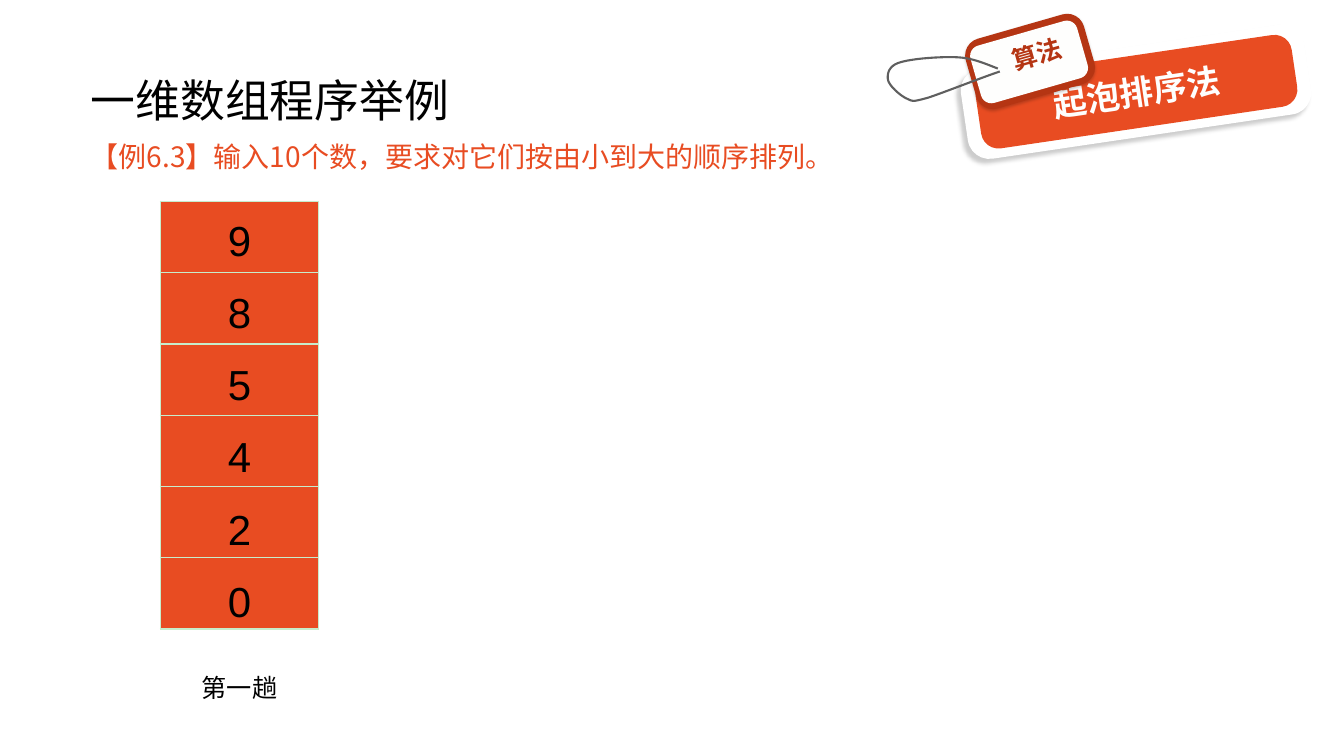
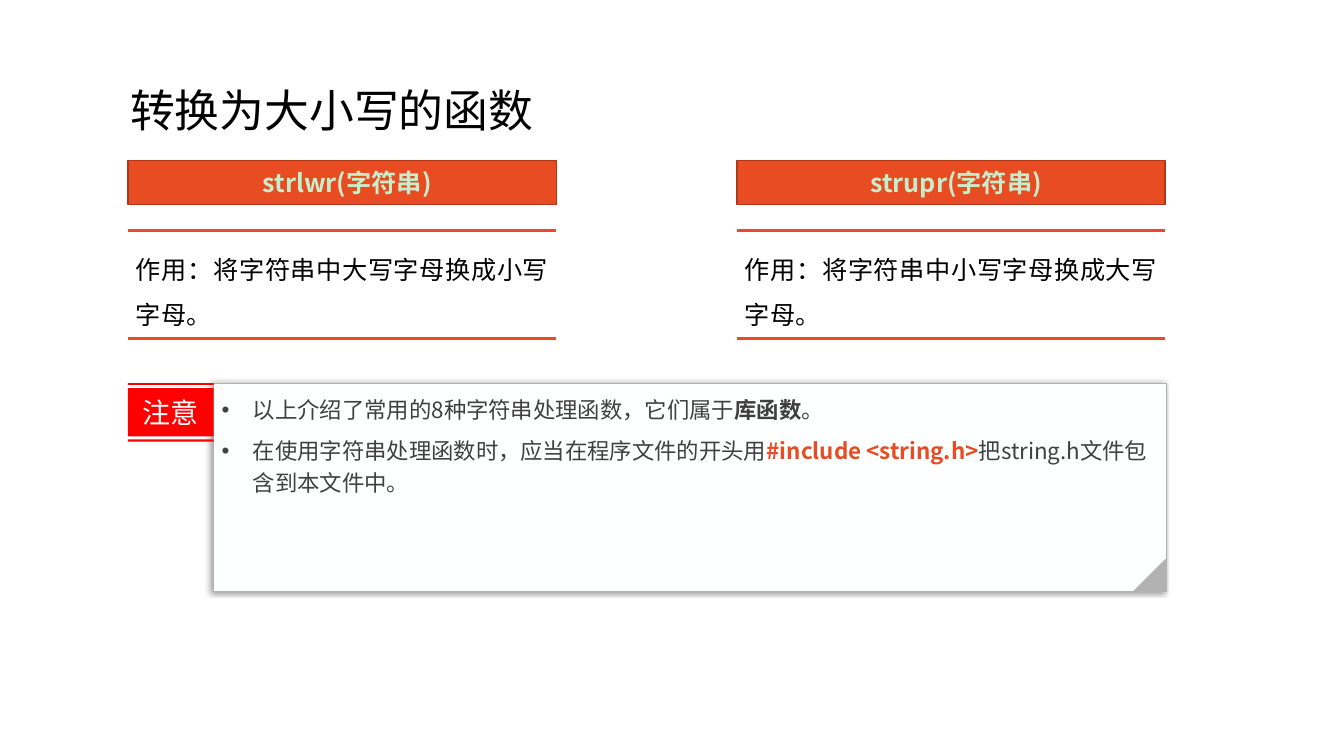
"""Build two programming lesson slides: bubble sort and string case functions."""
from dataclasses import dataclass
from typing import NamedTuple, Optional

from lxml import etree
from pptx import Presentation
from pptx.dml.color import RGBColor
from pptx.enum.shapes import MSO_SHAPE
from pptx.enum.text import MSO_ANCHOR, MSO_AUTO_SIZE, PP_ALIGN
from pptx.oxml.ns import qn
from pptx.util import Pt

RECTANGLE, ROUNDED, ELLIPSE, CORNER = (
    MSO_SHAPE.RECTANGLE, MSO_SHAPE.ROUNDED_RECTANGLE, MSO_SHAPE.OVAL, MSO_SHAPE.RIGHT_TRIANGLE)
TOP, MIDDLE = MSO_ANCHOR.TOP, MSO_ANCHOR.MIDDLE
LEFT, CENTER, JUSTIFY = PP_ALIGN.LEFT, PP_ALIGN.CENTER, PP_ALIGN.JUSTIFY
FIXED_SIZE, GROW = MSO_AUTO_SIZE.NONE, MSO_AUTO_SIZE.SHAPE_TO_FIT_TEXT

CHINESE_FONT, NUMBER_FONT = "Noto Sans CJK SC", "Arial"
COLORS = {
    "background": "FFFFFF", "white": "FFFFFF", "black": "000000", "orange": "E84C22",
    "rust": "B53513", "brown": "AC3819", "mint": "C7EDCC", "cream": "FEFEFD",
    "paper": "FEFFFF", "red": "FF0000", "charcoal": "404040", "string": "5F5F5F",
    "gray": "B2B2B2",
}


class Box(NamedTuple):
    """Position and size in points."""
    left: float
    top: float
    width: float
    height: float


class Margins(NamedTuple):
    """Text insets in points."""
    left: float = 7.2
    top: float = 3.6
    right: float = 7.2
    bottom: float = 3.6


class Shadow(NamedTuple):
    """Outer shadow: opacity in percent, lengths in points, angle in degrees."""
    opacity: int
    blur: float
    distance: float
    angle: int


class Run(NamedTuple):
    """Piece of a paragraph with its own weight and colour."""
    text: str
    bold: bool = False
    color: Optional[str] = None


@dataclass(frozen=True)
class TextStyle:
    """Look of the paragraphs in one shape."""
    size: float
    color: str = "black"
    font: str = CHINESE_FONT
    bold: bool = False
    align: object = LEFT
    anchor: object = TOP
    margins: Margins = Margins()
    line_spacing: float = 1
    before: float = 0
    after: float = 0
    indent: float = 0
    hanging: float = 0
    bullet: Optional[str] = None
    auto_size: object = FIXED_SIZE


@dataclass(frozen=True)
class Panel:
    """Preset shape with its fill, outline and text."""
    kind: object
    box: Box
    fill: str
    rotation: float = 0
    corner: Optional[float] = None
    line: Optional[str] = None
    line_width: float = 1
    shadow: Optional[Shadow] = None
    text: str = ""
    style: Optional[TextStyle] = None


@dataclass(frozen=True)
class StringFunction:
    """Card that introduces one string function."""
    left: float
    name: str
    purpose: str


TITLE = TextStyle(32, anchor=MIDDLE, line_spacing=0.9)
EXERCISE = TextStyle(20, "orange", line_spacing=1.2, before=10, indent=7.2, hanging=-7.2)
NUMBER = TextStyle(30, font=NUMBER_FONT, align=CENTER, auto_size=GROW)
PASS_LABEL = TextStyle(18, font=NUMBER_FONT, align=CENTER, auto_size=GROW)
TAG_TOPIC = TextStyle(24, "cream", bold=True, align=CENTER, anchor=MIDDLE, margins=Margins(0, 0, 0, 0))
TAG_KIND = TextStyle(18, "rust", bold=True, align=CENTER, anchor=MIDDLE,
                     margins=Margins(14.4, 0, 0, 8.6))
CARD_HEADER = TextStyle(18, "mint", bold=True, align=CENTER, anchor=MIDDLE,
                        margins=Margins(14.4, 3.6, 7.2, 3.6))
EVEN_MARGINS = Margins(5.76, 5.76, 5.76, 5.76)
CARD_PURPOSE = TextStyle(18, align=JUSTIFY, margins=EVEN_MARGINS, line_spacing=1.5, before=6, after=6)
NOTE_TAG = TextStyle(20, "paper", align=CENTER, anchor=MIDDLE)
NOTE = TextStyle(16, "charcoal", margins=EVEN_MARGINS, line_spacing=1.2, after=6,
                 indent=22.3, hanging=-22.3, bullet="•")

TAG_PANELS = [
    Panel(ROUNDED, Box(687.6, 33.1, 247.7, 64.8), "white", 351.6, 0.24, shadow=Shadow(20, 3, 4, 135)),
    Panel(ROUNDED, Box(697.7, 39.6, 228.2, 51.8), "orange", 351.6, 0.24,
          text="起泡排序法", style=TAG_TOPIC),
    Panel(ROUNDED, Box(691.9, 18, 87.8, 51.8), "rust", 344, 0.24, shadow=Shadow(20, 2, 1, 100)),
    Panel(ROUNDED, Box(695.5, 23, 79.2, 42.5), "cream", 344, 0.18, text="算法", style=TAG_KIND),
    Panel(ELLIPSE, Box(702, 44.6, 13, 13), "white"),
]
STRING_START = (712.8, 49)
STRING_CURVES = [
    ((704.9, 46.1), (696.2, 41.8), (684.7, 41)),
    ((673.2, 40.3), (651.6, 41.8), (643, 44.6)),
    ((635, 46.8), (633.6, 52.6), (634.3, 56.9)),
    ((635, 61.2), (643, 68.4), (648, 70.6)),
    ((652.3, 72.7), (652.3, 72.7), (663.1, 69.8)),
    ((673.9, 66.2), (695.5, 57.6), (714.2, 51.1)),
]
FUNCTIONS = [
    StringFunction(91.4, "strlwr(字符串)", "作用：将字符串中大写字母换成小写字母。"),
    StringFunction(526.3, "strupr(字符串)", "作用：将字符串中小写字母换成大写字母。"),
]
CARD_WIDTH = 306
NOTE_LEFT, NOTE_TOP = 152.6, 273.6
NOTE_BARS = [(313.9, 315.4), (277.2, 311.8), (273.6, 275)]
NOTE_LINES = [
    [Run("以上介绍了常用的8种字符串处理函数，它们属于"), Run("库函数", True), Run("。")],
    [Run("在使用字符串处理函数时，应当在程序文件的开头用"),
     Run("#include <string.h>", True, "orange"), Run("把string.h文件包含到本文件中。")],
]


def rgb(name: str) -> RGBColor:
    """Return a named colour."""
    return RGBColor.from_string(COLORS[name])


def add_color(parent, name: str):
    """Append a colour element and return it."""
    return etree.SubElement(parent, qn("a:srgbClr"), val=COLORS[name])


def place(shape, box: Box) -> None:
    """Move and size a shape."""
    shape.left, shape.top, shape.width, shape.height = map(Pt, box)


def write_text(shape, lines: list[list[Run]], style: TextStyle) -> None:
    """Fill a shape with formatted paragraphs."""
    frame = shape.text_frame
    frame.word_wrap = True
    frame.auto_size = style.auto_size
    frame.vertical_anchor = style.anchor
    frame.margin_left, frame.margin_top, frame.margin_right, frame.margin_bottom = map(Pt, style.margins)
    for index, line in enumerate(lines):
        paragraph = frame.add_paragraph() if index else frame.paragraphs[0]
        paragraph.alignment = style.align
        paragraph.line_spacing = style.line_spacing
        paragraph.space_before, paragraph.space_after = Pt(style.before), Pt(style.after)
        font = paragraph.font
        font.name, font.size, font.bold = style.font, Pt(style.size), style.bold
        font.color.rgb = rgb(style.color)
        for part in line:
            run = paragraph.add_run()
            run.text = part.text
            if part.bold:
                run.font.bold = True
            if part.color:
                run.font.color.rgb = rgb(part.color)
    for properties in shape.element.iter(qn("a:pPr")):
        properties.set("marL", str(Pt(style.indent)))
        properties.set("indent", str(Pt(style.hanging)))
        bullet = etree.Element(qn("a:buChar"), char=style.bullet) if style.bullet else etree.Element(qn("a:buNone"))
        properties.find(qn("a:defRPr")).addprevious(bullet)
    for latin in list(shape.element.iter(qn("a:latin"))):
        latin.addnext(etree.Element(qn("a:ea"), typeface=CHINESE_FONT))


def paint(shape, fill: Optional[str], line: Optional[str] = None, width: float = 1,
          shadow: Optional[Shadow] = None) -> None:
    """Set fill, outline and shadow."""
    if fill:
        shape.fill.solid()
        shape.fill.fore_color.rgb = rgb(fill)
    else:
        shape.fill.background()
    if line:
        shape.line.color.rgb = rgb(line)
        shape.line.width = Pt(width)
    else:
        shape.line.fill.background()
    shape.shadow.inherit = False
    if shadow:
        effects = shape.element.spPr.find(qn("a:effectLst"))
        outer = etree.SubElement(effects, qn("a:outerShdw"), blurRad=str(Pt(shadow.blur)),
                                 dist=str(Pt(shadow.distance)), dir=str(shadow.angle * 60000),
                                 algn="ctr", rotWithShape="0")
        etree.SubElement(add_color(outer, "black"), qn("a:alpha"), val=str(shadow.opacity * 1000))


def add_panel(slide, panel: Panel) -> None:
    """Draw a preset shape."""
    shape = slide.shapes.add_shape(panel.kind, *map(Pt, panel.box))
    shape.rotation = panel.rotation
    if panel.corner is not None:
        shape.adjustments[0] = panel.corner
    paint(shape, panel.fill, panel.line, panel.line_width, panel.shadow)
    if panel.style:
        write_text(shape, [[Run(panel.text)]], panel.style)


def add_outline(slide, contours: list[list[tuple[float, float]]], closed: bool):
    """Build a freeform from contours given in points."""
    contours = [[(Pt(x), Pt(y)) for x, y in contour] for contour in contours]
    builder = slide.shapes.build_freeform(*contours[0][0])
    for index, contour in enumerate(contours):
        if index:
            builder.move_to(*contour[0])
        builder.add_line_segments(contour[1:], close=closed)
    return builder.convert_to_shape()


def add_label(slide, box: Box, text: str, style: TextStyle) -> None:
    """Add a text box."""
    write_text(slide.shapes.add_textbox(*map(Pt, box)), [[Run(text)]], style)


def add_slide(presentation, title: str, title_box: Box, body_box: Box, lines: list[list[Run]],
              body_style: TextStyle):
    """Add a slide with its title and body placeholders filled."""
    slide = presentation.slides.add_slide(presentation.slide_layouts[1])
    slide.background.fill.solid()
    slide.background.fill.fore_color.rgb = rgb("background")
    place(slide.shapes.title, title_box)
    write_text(slide.shapes.title, [[Run(title)]], TITLE)
    body = slide.placeholders[1]
    place(body, body_box)
    write_text(body, lines, body_style)
    return slide


def add_number_column(slide, numbers: str) -> None:
    """Draw the array as a one-column table with a number over each cell."""
    table = slide.shapes.add_table(len(numbers), 1, Pt(114.5), Pt(144), Pt(113), Pt(305.4)).table
    table.first_row = table.horz_banding = False
    for index, number in enumerate(numbers):
        table.rows[index].height = Pt(50.9)
        cell = table.cell(index, 0)
        properties = cell._tc.get_or_add_tcPr()
        for side in ("lnL", "lnR", "lnT", "lnB"):
            border = etree.SubElement(properties, qn(f"a:{side}"), w=str(Pt(1)))
            add_color(etree.SubElement(border, qn("a:solidFill")), "mint")
        cell.fill.solid()
        cell.fill.fore_color.rgb = rgb("orange")
        add_label(slide, Box(149.8, 149.8 + 51.5 * index, 42.5, 43.9), number, NUMBER)


def add_tag(slide) -> None:
    """Draw the hanging topic tag with its string."""
    for panel in TAG_PANELS:
        add_panel(slide, panel)
    points = [STRING_START]
    for first, second, end in STRING_CURVES:
        start = points[-1]
        for step in range(1, 13):
            t = step / 12
            weights = ((1 - t) ** 3, 3 * t * (1 - t) ** 2, 3 * t * t * (1 - t), t ** 3)
            points.append(tuple(sum(weight * point[axis] for weight, point in
                                    zip(weights, (start, first, second, end))) for axis in (0, 1)))
    paint(add_outline(slide, [points], False), None, "string", 1.5)


def add_function_card(slide, function: StringFunction) -> None:
    """Draw a header and the purpose between two rules."""
    left, right = function.left, function.left + CARD_WIDTH
    add_panel(slide, Panel(RECTANGLE, Box(left, 114.5, CARD_WIDTH, 31.7), "orange", line="brown",
                           text=function.name, style=CARD_HEADER))
    rules = add_outline(slide, [[(left, y), (right, y)] for y in (241.9, 164.9)], False)
    paint(rules, None, "orange", 2)
    write_text(rules, [[Run(function.purpose)]], CARD_PURPOSE)


def main() -> None:
    """Build and save the presentation."""
    presentation = Presentation()
    presentation.slide_width, presentation.slide_height = Pt(960), Pt(540)

    sorting = add_slide(presentation, "一维数组程序举例", Box(57.6, 21.6, 828, 104.4),
                        Box(57.6, 91.4, 828, 47.5),
                        [[Run("【例6.3】输入10个数，要求对它们按由小到大的顺序排列。")]], EXERCISE)
    add_number_column(sorting, "985420")
    add_tag(sorting)
    add_label(sorting, Box(117.4, 476.6, 107.3, 29.5), "第一趟", PASS_LABEL)

    strings = add_slide(presentation, "转换为大小写的函数", Box(85.7, 28.8, 466.6, 104.4),
                        Box(NOTE_LEFT, NOTE_TOP, 680.4, 149), NOTE_LINES, NOTE)
    paint(strings.placeholders[1], "paper", "gray", 0.75, Shadow(40, 4, 3, 180))
    for function in FUNCTIONS:
        add_function_card(strings, function)
    bars = [[(91.4, top), (NOTE_LEFT, top), (NOTE_LEFT, bottom), (91.4, bottom)]
            for top, bottom in NOTE_BARS]
    note_tag = add_outline(strings, bars, True)
    paint(note_tag, "red")
    write_text(note_tag, [[Run("注意")]], NOTE_TAG)
    add_panel(strings, Panel(CORNER, Box(809.2, 398.8, 23.8, 23.8), "gray", 270))
    presentation.save("out.pptx")


main()
